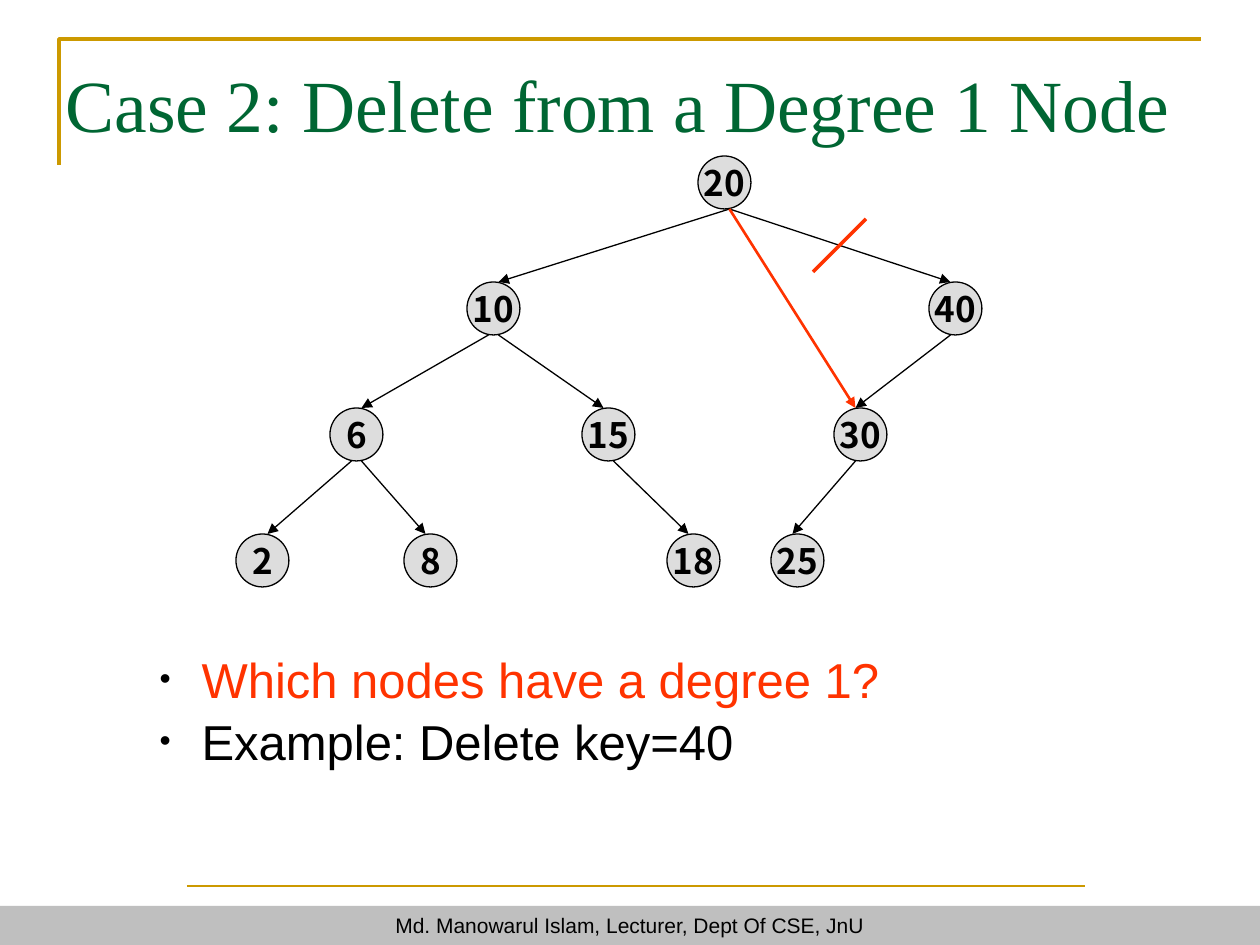
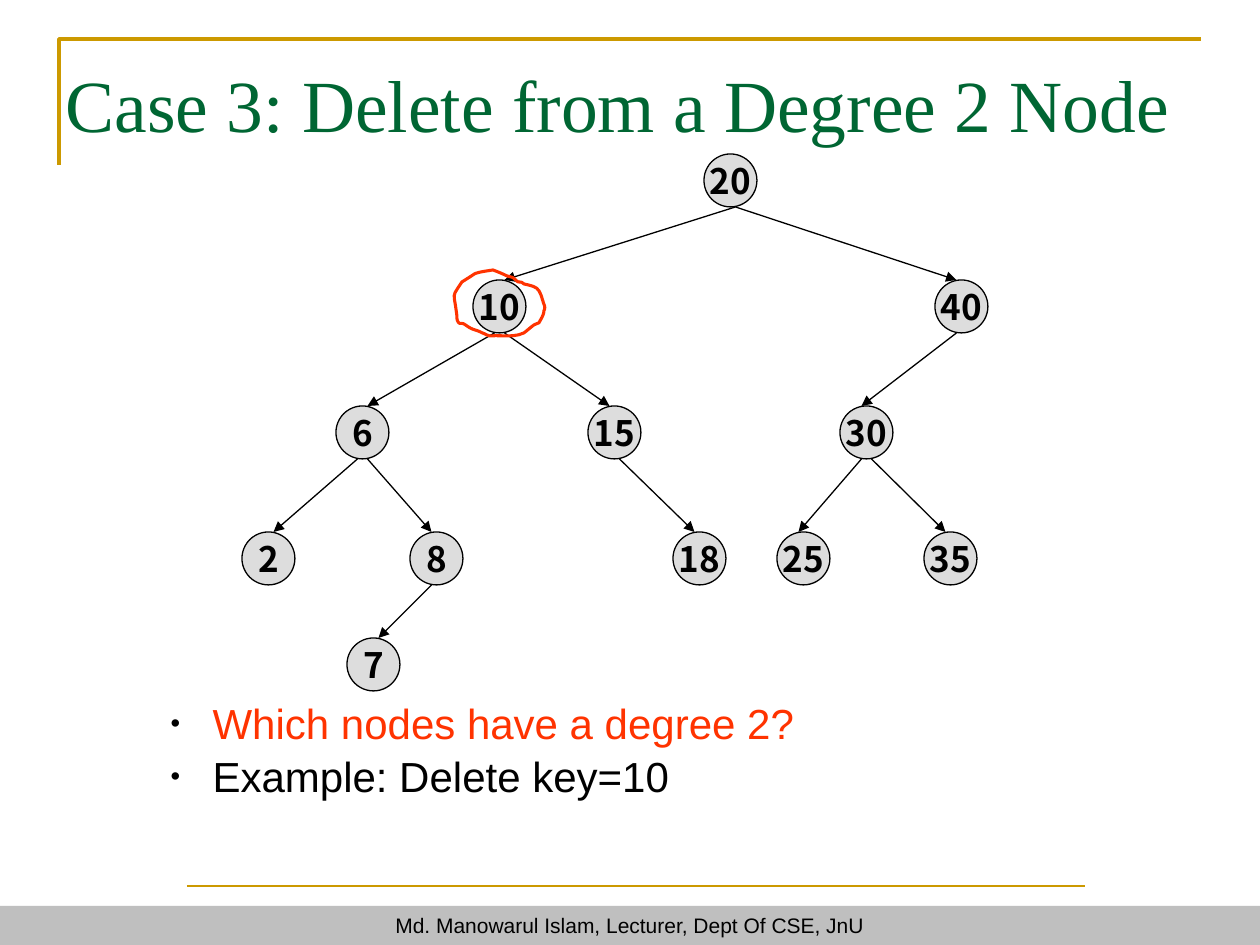
from dataclasses import dataclass
from typing import Optional

from lxml import etree
from pptx import Presentation
from pptx.dml.color import RGBColor as Rgb
from pptx.enum.shapes import MSO_CONNECTOR as Connector, MSO_SHAPE as Preset
from pptx.enum.text import MSO_ANCHOR as Anchor, MSO_AUTO_SIZE as AutoSize, PP_ALIGN as Align
from pptx.oxml.ns import qn
from pptx.util import Emu, Pt

EMU_PER_PX = 914400 / 126
SLIDE_W, SLIDE_H = 1260, 945


def px(length: float) -> Emu:
    return Emu(round(length * EMU_PER_PX))


# Colours, fonts and type sizes
@dataclass(frozen=True)
class Theme:
    ink: Rgb = Rgb.from_string("000000")
    gold: Rgb = Rgb.from_string("CC9900")
    green: Rgb = Rgb.from_string("006633")
    red: Rgb = Rgb.from_string("FF3300")
    footer_fill: Rgb = Rgb.from_string("BFBFBF")
    node_fill: Rgb = Rgb.from_string("DDDDDD")
    title_font: str = "Times New Roman"
    text_font: str = "Arial"
    node_font: str = "Noto Sans CJK KR"
    title_size: int = 42
    node_size: int = 20
    footer_size: int = 12


THEME = Theme()
FOOTER = "Md. Manowarul Islam, Lecturer, Dept Of CSE, JnU"


# Tree geometry, relative to the tree's top left corner
@dataclass(frozen=True)
class Node:
    key: int
    x: int
    level: int
    parent: Optional[int] = None


@dataclass(frozen=True)
class Case:
    title: str
    question: str
    example: str
    nodes: tuple[Node, ...]
    tree_origin: tuple[int, int]
    list_box: tuple[int, int, int, int]
    list_size: int


NODE_D = 53
NUDGE = 5
LEVEL_TOPS = (0, 126, 252, 378, 484)
ROOT = Node(20, 462, 0)
COMMON_NODES = (
    ROOT,
    Node(40, 693, 1, 20),
    Node(10, 231, 1, 20),
    Node(6, 94, 2, 10),
    Node(15, 346, 2, 10),
    Node(30, 598, 2, 40),
    Node(2, 0, 3, 6),
    Node(8, 168, 3, 6),
    Node(18, 431, 3, 15),
    Node(25, 535, 3, 30),
)
DEGREE_1 = Case(
    "Case 2: Delete from a Degree 1 Node", "Which nodes have a degree 1?",
    "Example: Delete key=40", COMMON_NODES, (236, 156), (147, 640, 932, 131), 28)
DEGREE_2 = Case(
    "Case 3: Delete from a Degree 2 Node", "Which nodes have a degree 2?",
    "Example: Delete key=10", COMMON_NODES + (Node(35, 682, 3, 30), Node(7, 105, 4, 8)),
    (242, 154), (158, 689, 932, 113), 24)

# Hand-drawn ring: a start point, then two controls and an end for each curve
RING_START = (493, 270)
RING_CURVES = (
    ((488, 271), (476, 272), (473, 275)),
    ((470, 277), (462, 282), (462, 282)),
    ((451, 299), (454, 290), (457, 316)),
    ((457, 319), (457, 321), (459, 323)),
    ((460, 324), (462, 323), (464, 324)),
    ((467, 326), (471, 329), (475, 330)),
    ((479, 331), (482, 333), (485, 334)),
    ((486, 335), (490, 336), (490, 336)),
    ((501, 335), (514, 338), (524, 333)),
    ((528, 330), (530, 328), (534, 325)),
    ((536, 324), (539, 323), (539, 323)),
    ((541, 319), (544, 315), (544, 311)),
    ((546, 307), (544, 305), (543, 301)),
    ((539, 287), (537, 287), (524, 284)),
    ((522, 282), (520, 282), (518, 282)),
    ((512, 277), (515, 278), (507, 276)),
    ((501, 273), (498, 272), (493, 270)),
)
CURVE_STEPS = 6


# Drawing helpers
def style_font(font, name: str, size: int, color: Rgb, bold: bool = False) -> None:
    font.name, font.size, font.bold = name, Pt(size), bold
    font.color.rgb = color


def place(shape, left: int, top: int, width: int, height: int) -> None:
    shape.left, shape.top, shape.width, shape.height = map(px, (left, top, width, height))


def draw_line(shapes, start, end, color: Rgb, weight: float, arrow: bool = False) -> None:
    line = shapes.add_connector(Connector.STRAIGHT, *map(px, (*start, *end)))
    line.line.color.rgb = color
    line.line.width = Pt(weight)
    if arrow:
        etree.SubElement(line.line._get_or_add_ln(), qn("a:tailEnd"), type="triangle")
    etree.SubElement(line._element.spPr, qn("a:effectLst"))


def draw_outline(shapes, points, color: Rgb, weight: float, close: bool) -> None:
    corners = [(px(x), px(y)) for x, y in points]
    builder = shapes.build_freeform(*corners[0])
    builder.add_line_segments(corners[1:], close=close)
    outline = builder.convert_to_shape()
    outline.shadow.inherit = False
    outline.fill.background()
    outline.line.color.rgb = color
    outline.line.width = Pt(weight)


def draw_label_shape(shapes, preset, box, fill: Rgb, text: str):
    shape = shapes.add_shape(preset, *map(px, box))
    shape.shadow.inherit = False
    shape.fill.solid()
    shape.fill.fore_color.rgb = fill
    frame = shape.text_frame
    frame.text = text
    frame.vertical_anchor = Anchor.MIDDLE
    frame.paragraphs[0].alignment = Align.CENTER
    return shape


# Parts shared by both slides
def draw_frame(shapes) -> None:
    draw_line(shapes, (187, 886), (1085, 886), THEME.gold, 1)
    footer = draw_label_shape(shapes, Preset.RECTANGLE, (0, 906, SLIDE_W, 39),
                              THEME.footer_fill, FOOTER)
    footer.line.fill.background()
    style_font(footer.text_frame.paragraphs[0].runs[0].font,
               THEME.text_font, THEME.footer_size, THEME.ink)
    draw_outline(shapes, ((59, 165), (59, 39), (1201, 39)), THEME.gold, 2, close=False)


def fill_title(title, text: str) -> None:
    place(title, 53, 45, 1155, 84)
    frame = title.text_frame
    frame.text = text
    frame.auto_size = AutoSize.NONE
    frame.vertical_anchor = Anchor.TOP
    frame.margin_top, frame.margin_bottom = px(14), 0
    frame.paragraphs[0].alignment = Align.LEFT
    style_font(frame.paragraphs[0].runs[0].font,
               THEME.title_font, THEME.title_size, THEME.green)


def add_bullet(paragraph, indent: int) -> None:
    props = paragraph._p.get_or_add_pPr()
    props.set("marL", str(px(indent)))
    props.set("indent", str(-px(indent)))
    color = etree.SubElement(props, qn("a:buClr"))
    etree.SubElement(color, qn("a:srgbClr"), val=str(THEME.ink))
    etree.SubElement(props, qn("a:buSzPct"), val="65000")
    etree.SubElement(props, qn("a:buFont"), typeface=THEME.text_font)
    etree.SubElement(props, qn("a:buChar"), char="•")


def fill_list(body, case: Case) -> None:
    place(body, *case.list_box)
    frame = body.text_frame
    frame.text = f"{case.question}\n{case.example}"
    frame.auto_size = AutoSize.NONE
    frame.vertical_anchor = Anchor.TOP
    for paragraph, color in zip(frame.paragraphs, (THEME.red, THEME.ink)):
        paragraph.space_before = Pt(0)
        paragraph.line_spacing = 1.05
        add_bullet(paragraph, 42)
        style_font(paragraph.runs[0].font, THEME.text_font, case.list_size, color)


# Binary search tree
def edge_ends(parent: Node, child: Node, origin: tuple[int, int]):
    """Leave the parent's foot and enter the child's head, just off centre."""
    goes_left = child.x < parent.x
    leave = -NUDGE if goes_left and parent is not ROOT else NUDGE
    enter = NUDGE if goes_left and child.x < ROOT.x else -NUDGE
    left, top = origin[0] + NODE_D / 2, origin[1]
    return ((left + parent.x + leave, top + LEVEL_TOPS[parent.level] + NODE_D),
            (left + child.x + enter, top + LEVEL_TOPS[child.level]))


def draw_tree(shapes, case: Case) -> None:
    tree = shapes.add_group_shape().shapes
    by_key = {node.key: node for node in case.nodes}
    left, top = case.tree_origin
    for node in case.nodes:
        box = (left + node.x, top + LEVEL_TOPS[node.level], NODE_D, NODE_D)
        circle = draw_label_shape(tree, Preset.OVAL, box, THEME.node_fill, str(node.key))
        circle.line.color.rgb = THEME.ink
        circle.line.width = Pt(0.75)
        circle.text_frame.word_wrap = False
        style_font(circle.text_frame.paragraphs[0].runs[0].font,
                   THEME.node_font, THEME.node_size, THEME.ink, bold=True)
    for node in case.nodes:
        if node.parent is not None:
            ends = edge_ends(by_key[node.parent], node, case.tree_origin)
            draw_line(tree, *ends, THEME.ink, 0.75, arrow=True)


def ring_points() -> list[tuple[float, float]]:
    points = [RING_START]
    for first, second, end in RING_CURVES:
        start = points[-1]
        for step in range(1, CURVE_STEPS + 1):
            t = step / CURVE_STEPS
            u = 1 - t
            points.append(tuple(
                u**3 * a + 3 * u * u * t * b + 3 * u * t * t * c + t**3 * d
                for a, b, c, d in zip(start, first, second, end)))
    return points


def add_case(deck, case: Case):
    slide = deck.slides.add_slide(deck.slide_layouts[1])
    fill_title(slide.shapes.title, case.title)
    fill_list(slide.placeholders[1], case)
    draw_frame(slide.shapes)
    draw_tree(slide.shapes, case)
    return slide.shapes


def main() -> None:
    deck = Presentation()
    deck.slide_width, deck.slide_height = px(SLIDE_W), px(SLIDE_H)

    # Degree 1: cut the link to 40 and join 20 to 30
    shapes = add_case(deck, DEGREE_1)
    draw_line(shapes, (813, 272), (866, 219), THEME.red, 2)
    orphan = next(node for node in COMMON_NODES if node.key == 30)
    bypass = edge_ends(ROOT, orphan, DEGREE_1.tree_origin)
    draw_line(shapes, *bypass, THEME.red, 1.5, arrow=True)

    # Degree 2: ring the node to delete
    shapes = add_case(deck, DEGREE_2)
    draw_outline(shapes, ring_points(), THEME.red, 1.75, close=True)

    deck.save("out.pptx")


if __name__ == "__main__":
    main()
